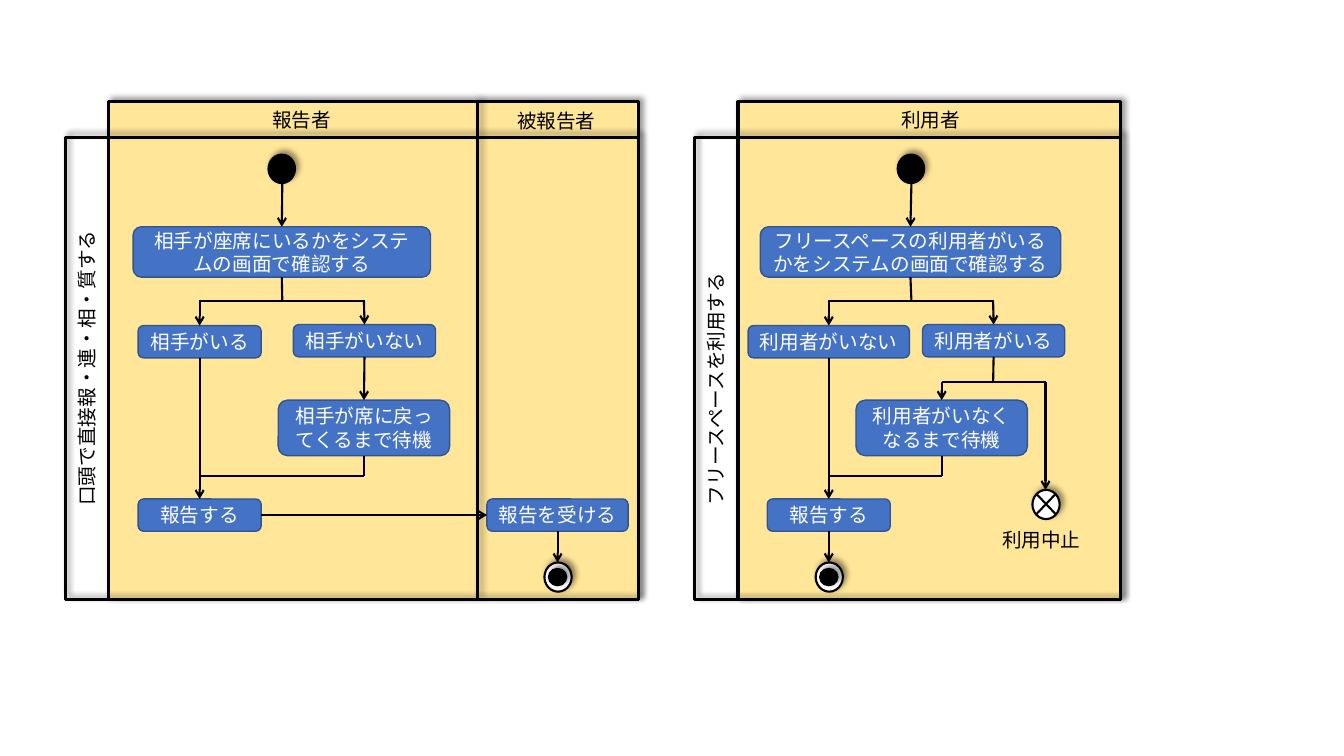
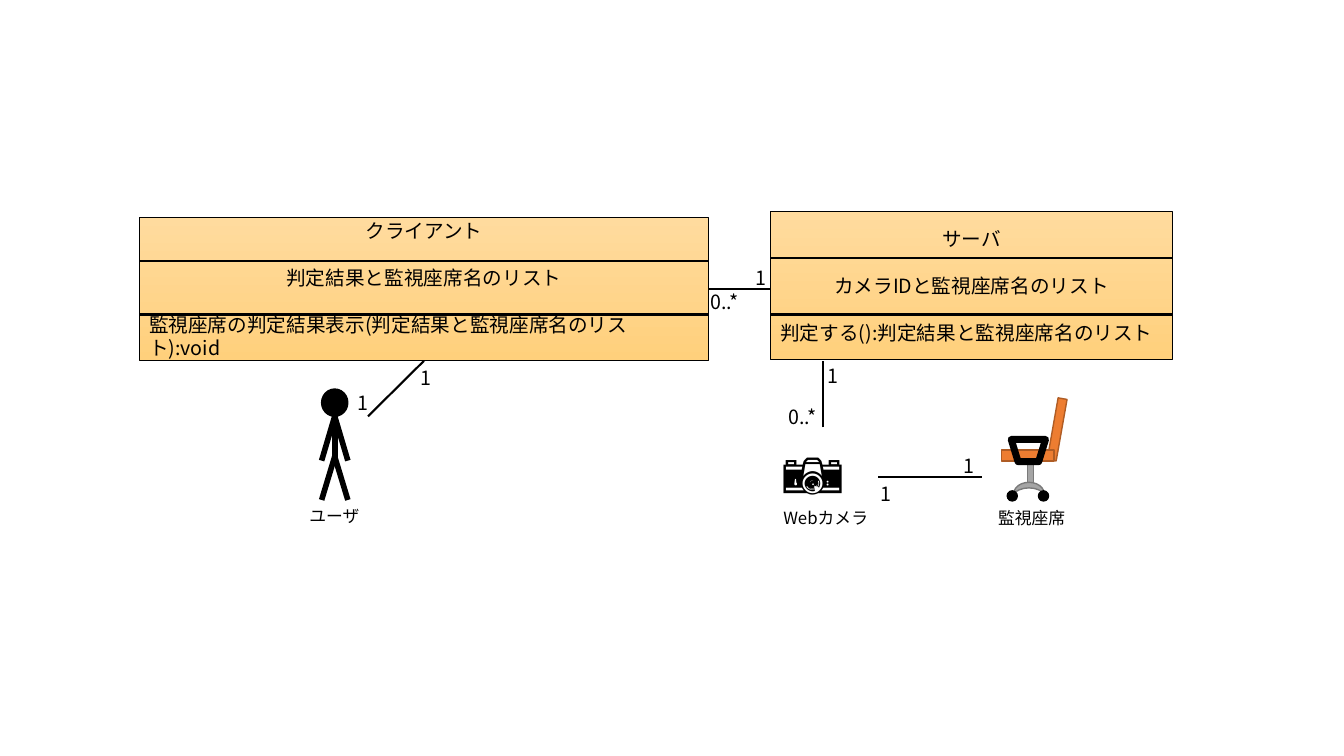
from dataclasses import dataclass

from lxml import etree
import pptx
import pptx.dml.color
import pptx.enum.shapes
import pptx.enum.text
import pptx.oxml
import pptx.oxml.ns
import pptx.util

PX = 9144  # 100 px to the inch
SHAPE = pptx.enum.shapes.MSO_SHAPE
ALIGN = pptx.enum.text.PP_ALIGN
RGB = pptx.dml.color.RGBColor.from_string
qn = pptx.oxml.ns.qn
TOP, LEFT, BOTTOM, RIGHT = range(4)


@dataclass(frozen=True)
class Theme:
    font: str = "Noto Sans CJK JP"
    ink: str = "000000"
    paper: str = "FFFFFF"
    lane: str = "FFE699"
    step: str = "4472C4"
    step_edge: str = "325491"
    class_fill: tuple = ("FFDB9E", "FFD07C")
    metal: str = "A5A5A5"
    metal_edge: str = "7A7A7A"
    seat: str = "ED7D31"
    seat_edge: str = "AF5C24"
    body: int = 14
    caption: int = 12
    icon: int = 44
    thin: float = 1.5
    frame: float = 2.25
    shadow: str = (
        f'<a:outerShdw {pptx.oxml.ns.nsdecls("a")} blurRad="50800" dist="38100" dir="18900000" '
        'rotWithShape="0"><a:srgbClr val="000000"><a:alpha val="40000"/></a:srgbClr></a:outerShdw>')


T = Theme()


def block(shapes, x, y, w, h, text=None, kind=None, fill=None, edge=T.ink, width=1,
          shadow=False, rotation=0, size=T.body, color=T.ink, align=None, gap=0):
    """Add a preset shape, or a text box when kind is None; one paragraph per text line."""
    place = [v * PX for v in (x, y, w, h)]
    if kind is None:
        sp = shapes.add_textbox(*place)
        sp.text_frame.auto_size = pptx.enum.text.MSO_AUTO_SIZE.SHAPE_TO_FIT_TEXT
    else:
        sp = shapes.add_shape(kind, *place)
        sp.text_frame.vertical_anchor = pptx.enum.text.MSO_ANCHOR.MIDDLE
        if fill is None:
            sp.fill.background()
        elif isinstance(fill, tuple):
            sp.fill.gradient()
            sp.fill.gradient_angle = 270
            for stop, stop_color in zip(sp.fill.gradient_stops, fill):
                stop.color.rgb = RGB(stop_color)
        else:
            sp.fill.solid()
            sp.fill.fore_color.rgb = RGB(fill)
        sp.line.color.rgb = RGB(edge)
        sp.line.width = pptx.util.Pt(width)
        sp.shadow.inherit = False
        if shadow:
            sp._element.spPr.find(qn("a:effectLst")).append(pptx.oxml.parse_xml(T.shadow))
    sp.rotation = rotation
    tf = sp.text_frame
    tf.word_wrap = True
    for i, content in enumerate(text.split("\n") if text else []):
        p = tf.add_paragraph() if i else tf.paragraphs[0]
        p.alignment = align[i] if isinstance(align, list) else align
        p.space_before = pptx.util.Pt(gap if i else 0)
        r = p.add_run()
        r.text = content
        r.font.size = pptx.util.Pt(size)
        r.font.color.rgb = RGB(color)
        r.font.name = T.font
        etree.SubElement(r._r.get_or_add_rPr(), qn("a:ea"), typeface=T.font)
    return sp


def line(shapes, start, end, width=T.thin, arrow=False, shadow=False):
    """Add a straight connector; each end is (x, y) or (shape, side)."""
    free = [isinstance(point[0], int) for point in (start, end)]
    coords = [v * PX for point, is_free in zip((start, end), free)
              for v in (point if is_free else (0, 0))]
    conn = shapes.add_connector(pptx.enum.shapes.MSO_CONNECTOR.STRAIGHT, *coords)
    if not free[0]:
        conn.begin_connect(*start)
    if not free[1]:
        conn.end_connect(*end)
    conn.line.color.rgb = RGB(T.ink)
    conn.line.width = pptx.util.Pt(width)
    spPr = conn._element.spPr
    if arrow:
        etree.SubElement(spPr.find(qn("a:ln")), qn("a:tailEnd"), type="arrow")
    effects = etree.SubElement(spPr, qn("a:effectLst"))
    if shadow:
        effects.append(pptx.oxml.parse_xml(T.shadow))


prs = pptx.Presentation()
prs.slide_width, prs.slide_height = 1333 * PX, 750 * PX
blank = prs.slide_layouts[6]

# Slide 1: two activity diagrams on the same grid
shapes = prs.slides.add_slide(blank).shapes
frame = dict(kind=SHAPE.RECTANGLE, width=T.frame, shadow=True)
step = dict(kind=SHAPE.ROUNDED_RECTANGLE, fill=T.step, edge=T.step_edge, color=T.paper,
            align=ALIGN.CENTER)
dot = dict(kind=SHAPE.OVAL, fill=T.ink, shadow=True)
ring = dict(kind=SHAPE.OVAL, fill=T.paper, width=T.thin, shadow=True)
FORK_Y, SPLIT_Y, JOIN_Y, END_Y = 299, 379, 472, 558

diagrams = [
    dict(dx=0, lane_w=525, lane="報告者", receiver="被報告者",
         caption="口頭で直接報・連・相・質する", caption_w=295, caption_y=347,
         check="相手が座席にいるかをシステムの画面で確認する", check_w=295,
         ready="相手がいる", ready_w=122, busy="相手がいない",
         wait="相手が席に戻ってくるまで待機", wait_x=361),
    dict(dx=624, lane_w=379, lane="利用者", receiver=None,
         caption="フリースペースを利用する", caption_w=256, caption_y=366,
         check="フリースペースの利用者がいるかをシステムの画面で確認する", check_w=298,
         ready="利用者がいない", ready_w=160, busy="利用者がいる",
         wait="利用者がいなくなるまで待機", wait_x=310),
]
for d in diagrams:
    dx = d["dx"]
    ready_x, check_x, busy_x, wait_x = (dx + x for x in (198, 280, 361, d["wait_x"]))
    block(shapes, dx + 108, 101, d["lane_w"], 494, fill=T.lane, **frame)
    if d["receiver"]:
        line(shapes, (474, 101), (474, 595), T.frame, shadow=True)
        block(shapes, 503, 103, 100, 34, d["receiver"])
    block(shapes, dx + 260, 102, 80, 34, d["lane"])
    block(shapes, dx + 65, 136, d["lane_w"] + 43, 459, **frame)
    block(shapes, dx + 86 - d["caption_w"] // 2, d["caption_y"], d["caption_w"], 34,
          d["caption"], rotation=270)

    block(shapes, check_x - 14, 153, 27, 29, **dot)
    check = block(shapes, check_x - d["check_w"] // 2 - 1, 225, d["check_w"], 50, d["check"], **step)
    ready = block(shapes, ready_x - d["ready_w"] // 2, 323, d["ready_w"], 32, d["ready"], **step)
    busy = block(shapes, busy_x - 70, 322, 141, 32, d["busy"], **step)
    wait = block(shapes, wait_x - 85, 397, 170, 55, d["wait"], **step)
    report = block(shapes, ready_x - 61, 495, 122, 32, "報告する", **step)

    line(shapes, (check_x, 181), (check, TOP), arrow=True)
    line(shapes, (check, BOTTOM), (check_x, FORK_Y))
    line(shapes, (ready_x - 1, FORK_Y), (busy_x + 1, FORK_Y))
    line(shapes, (ready_x, FORK_Y), (ready, TOP), arrow=True)
    line(shapes, (busy_x, FORK_Y), (busy, TOP), arrow=True)
    line(shapes, (wait, BOTTOM), (wait_x, JOIN_Y))
    line(shapes, (wait_x, JOIN_Y), (ready_x, JOIN_Y))
    line(shapes, (ready, BOTTOM), (report, TOP), arrow=True)

    if d["receiver"]:
        line(shapes, (busy, BOTTOM), (wait, TOP), arrow=True)
        last, last_x = block(shapes, 483, 495, 140, 32, "報告を受ける", **step), 553
        line(shapes, (report, RIGHT), (last, LEFT), arrow=True)
    else:
        last, last_x = report, ready_x
        line(shapes, (busy, BOTTOM), (busy_x, SPLIT_Y))
        line(shapes, (wait_x, SPLIT_Y), (1037, SPLIT_Y))
        line(shapes, (wait_x, SPLIT_Y), (wait, TOP), arrow=True)
        line(shapes, (1037, SPLIT_Y), (1037, 486), arrow=True)
        block(shapes, 1024, 486, 27, 29, **ring)
        line(shapes, (1028, 490), (1047, 510))
        line(shapes, (1028, 510), (1047, 490))
        block(shapes, 984, 519, 99, 29, "利用中止")

    final = shapes.add_group_shape().shapes
    block(final, last_x - 13, END_Y, 27, 29, **ring)
    block(final, last_x - 9, END_Y + 6, 18, 17, **dot)
    line(shapes, (last, BOTTOM), (last_x, END_Y), arrow=True)

# Slide 2: class diagram
shapes = prs.slides.add_slide(blank).shapes

actor = shapes.add_group_shape().shapes
block(actor, 319, 386, 26, 27, kind=SHAPE.OVAL, fill=T.ink)
line(actor, (332, 413), (332, 457), 4)
for foot_x in (319, 345):
    line(actor, (332, 413), (foot_x, 457), 4)
    line(actor, (332, 453), (foot_x, 496), 4)

classes = [
    (764, 210, 399, 147, (256, 312),
     "サーバ\nカメラIDと監視座席名のリスト\n判定する():判定結果と監視座席名のリスト"),
    (138, 216, 565, 142, (259, 312),
     "クライアント\n判定結果と監視座席名のリスト\n"
     "監視座席の判定結果表示(判定結果と監視座席名のリスト):void"),
]
for x, y, w, h, dividers, text in classes:
    group = shapes.add_group_shape().shapes
    client = block(group, x, y, w, h, text, kind=SHAPE.RECTANGLE, fill=T.class_fill, width=0.5,
                   align=[ALIGN.CENTER, ALIGN.CENTER, ALIGN.LEFT], gap=16.8)
    for divider_y in dividers:
        line(group, (x, divider_y), (x + w, divider_y))

chair = shapes.add_group_shape().shapes
metal = dict(fill=T.metal, edge=T.metal_edge)
seat = dict(kind=SHAPE.RECTANGLE, fill=T.seat, edge=T.seat_edge)
block(chair, 1019, 449, 6, 34, kind=SHAPE.RECTANGLE, **metal)
block(chair, 1044, 395, 9, 62, rotation=10, **seat)
block(chair, 1014, 426, 11, 52, rotation=270, **seat)
block(chair, 1015, 469, 11, 30, kind=SHAPE.MOON, rotation=90, **metal)
for wheel_x in (999, 1030):
    block(chair, wheel_x, 487, 10, 10, kind=SHAPE.OVAL, fill=T.ink)
block(chair, 1003, 436, 34, 22, kind=SHAPE.FLOWCHART_MANUAL_OPERATION, width=5)

line(shapes, (816, 424), (816, 358))
line(shapes, (client, RIGHT), (764, 287))
line(shapes, (365, 413), (client, BOTTOM))
line(shapes, (871, 473), (974, 473))

labels = [
    (811, 356, 34, 34, "1", T.body),
    (772, 397, 55, 34, "0..*", T.body),
    (740, 259, 34, 34, "1", T.body),
    (695, 283, 55, 34, "0..*", T.body),
    (407, 358, 34, 34, "1", T.body),
    (345, 383, 30, 34, "1", T.body),
    (946, 445, 34, 34, "1", T.body),
    (863, 473, 30, 34, "1", T.body),
    (765, 424, 101, 84, "📷", T.icon),
    (297, 497, 79, 30, "ユーザ", T.caption),
    (767, 499, 105, 31, "Webカメラ", T.caption),
    (980, 499, 89, 30, "監視座席", T.caption),
]
for x, y, w, h, text, size in labels:
    block(shapes, x, y, w, h, text, size=size)

prs.save("out.pptx")
